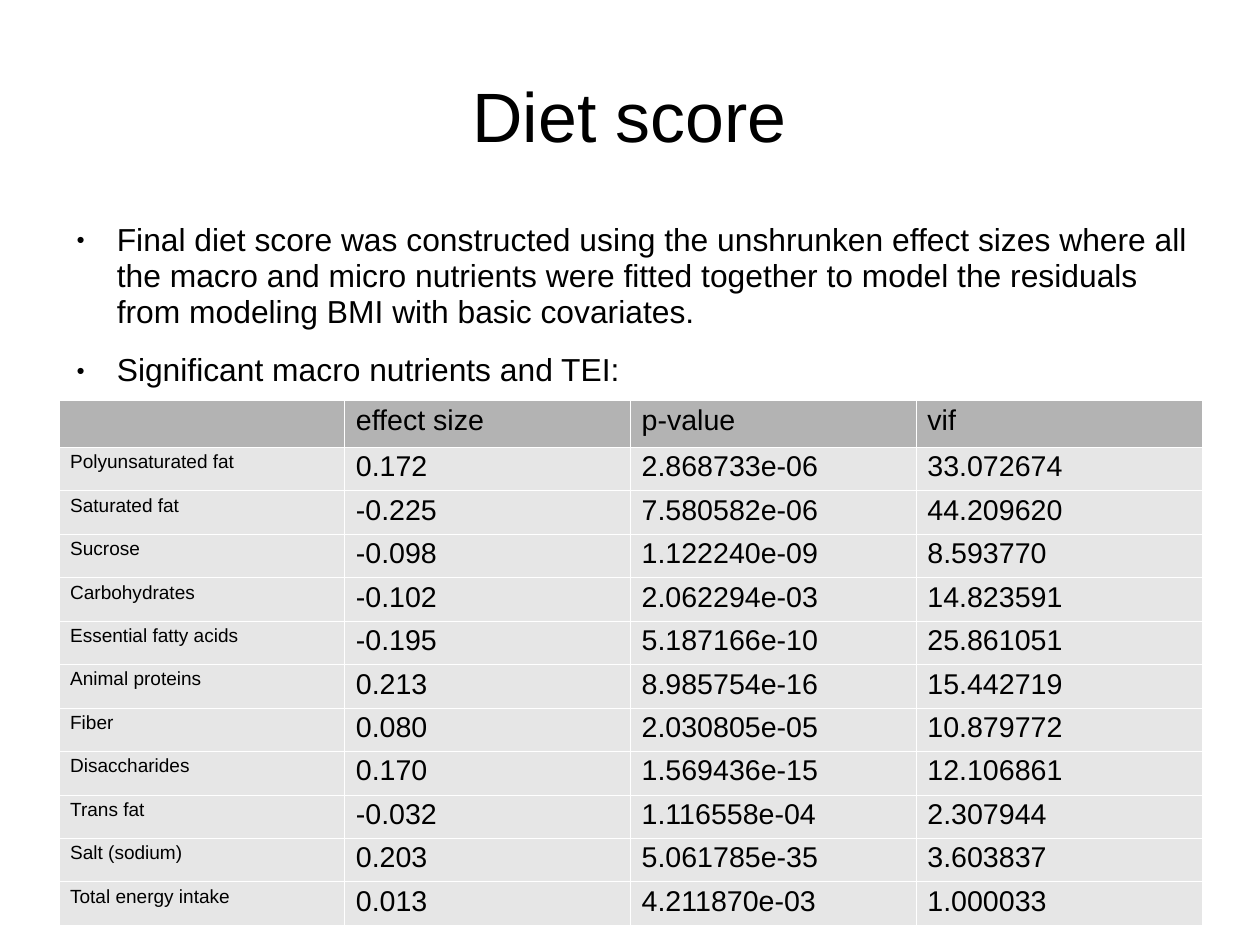
"""Build the diet score slide with its bullets and nutrient table."""
from dataclasses import dataclass

from lxml.etree import SubElement
from pptx import Presentation
from pptx.dml.color import RGBColor as Rgb
from pptx.enum.text import MSO_ANCHOR as Anchor, MSO_AUTO_SIZE as AutoSize, PP_ALIGN as Align
from pptx.oxml import parse_xml
from pptx.oxml.ns import nsdecls, qn
from pptx.util import Pt


@dataclass(frozen=True)
class Theme:
    font: str = "Arial"
    ink: str = "000000"
    header_fill: str = "B3B3B3"
    row_fill: str = "E6E6E6"
    border: str = "FFFFFF"
    border_width: float = 0.06
    title_size: int = 44
    body_size: int = 20
    table_size: int = 18
    label_size: int = 12
    line_spacing: float = 0.94


class SlideBuilder:
    def __init__(self, deck, theme):
        self.theme = theme
        self.slide = deck.slides.add_slide(deck.slide_layouts[1])

    def add_text(self, para, text, size):
        para.line_spacing = self.theme.line_spacing
        span = para.add_run()
        span.text = text
        span.font.name = self.theme.font
        span.font.size = Pt(size)
        span.font.bold = False
        span.font.color.rgb = Rgb.from_string(self.theme.ink)

    def place(self, box, left, top, width, height, inset_top, anchor):
        box.left, box.top, box.width, box.height = map(Pt, (left, top, width, height))
        frame = box.text_frame
        frame.auto_size = AutoSize.NONE
        frame.word_wrap = True
        frame.vertical_anchor = anchor
        frame.margin_left = frame.margin_right = frame.margin_bottom = 0
        frame.margin_top = Pt(inset_top)
        return frame

    def title(self, text, *area):
        frame = self.place(self.slide.shapes.title, *area, 2.9, Anchor.MIDDLE)
        para = frame.paragraphs[0]
        para.alignment = Align.CENTER
        self.add_text(para, text, self.theme.title_size)

    def bullets(self, items, *area):
        frame = self.place(self.slide.placeholders[1], *area, 1.4, Anchor.TOP)
        for index, item in enumerate(items):
            para = frame.add_paragraph() if index else frame.paragraphs[0]
            self.add_text(para, item, self.theme.body_size)
            para.space_before = Pt(0)
            para.space_after = Pt(14.3)
            self.bullet(para)

    def bullet(self, para):
        props = para._p.get_or_add_pPr()
        props.set("marL", str(Pt(34)))
        props.set("indent", str(-Pt(25.5)))
        color = SubElement(props, qn("a:buClr"))
        SubElement(color, qn("a:srgbClr"), val=self.theme.ink)
        SubElement(props, qn("a:buSzPct"), val="45000")
        SubElement(props, qn("a:buFont"), typeface=self.theme.font)
        SubElement(props, qn("a:buChar"), char="●")

    def table(self, rows, left, top, column_width, header_height, row_height):
        columns = len(rows[0])
        height = header_height + row_height * (len(rows) - 1)
        frame = self.slide.shapes.add_table(
            len(rows), columns, Pt(left), Pt(top), Pt(column_width * columns), Pt(height))
        grid = frame.table
        grid.horz_banding = False
        for column in grid.columns:
            column.width = Pt(column_width)
        for row_index, values in enumerate(rows):
            grid.rows[row_index].height = Pt(row_height if row_index else header_height)
            for column_index, text in enumerate(values):
                is_label = row_index and not column_index
                size = self.theme.label_size if is_label else self.theme.table_size
                fill = self.theme.row_fill if row_index else self.theme.header_fill
                self.cell(grid.cell(row_index, column_index), text, size, fill)

    def cell(self, cell, text, size, fill):
        cell.margin_left = cell.margin_right = Pt(7.2)
        cell.margin_top = cell.margin_bottom = Pt(3.6)
        cell.fill.solid()
        cell.fill.fore_color.rgb = Rgb.from_string(fill)
        if text:
            self.add_text(cell.text_frame.paragraphs[0], text, size)
        props = cell._tc.get_or_add_tcPr()
        for position, side in enumerate(("lnL", "lnR", "lnT", "lnB")):
            props.insert(position, parse_xml(
                f'<a:{side} {nsdecls("a")} w="{Pt(self.theme.border_width)}"><a:solidFill>'
                f'<a:srgbClr val="{self.theme.border}"/></a:solidFill></a:{side}>'))


BULLETS = (
    "Final diet score was constructed using the unshrunken effect sizes where all the macro "
    "and micro nutrients were fitted together to model the residuals from modeling BMI with "
    "basic covariates.",
    "Significant macro nutrients and TEI:",
)

NUTRIENTS = (
    ("", "effect size", "p-value", "vif"),
    ("Polyunsaturated fat", "0.172", "2.868733e-06", "33.072674"),
    ("Saturated fat", "-0.225", "7.580582e-06", "44.209620"),
    ("Sucrose", "-0.098", "1.122240e-09", "8.593770"),
    ("Carbohydrates", "-0.102", "2.062294e-03", "14.823591"),
    ("Essential fatty acids", "-0.195", "5.187166e-10", "25.861051"),
    ("Animal proteins", "0.213", "8.985754e-16", "15.442719"),
    ("Fiber", "0.080", "2.030805e-05", "10.879772"),
    ("Disaccharides", "0.170", "1.569436e-15", "12.106861"),
    ("Trans fat", "-0.032", "1.116558e-04", "2.307944"),
    ("Salt (sodium)", "0.203", "5.061785e-35", "3.603837"),
    ("Total energy intake", "0.013", "4.211870e-03", "1.000033"),
)


def main():
    deck = Presentation()
    deck.slide_width, deck.slide_height = Pt(793.7), Pt(595.3)
    page = SlideBuilder(deck, Theme())
    page.title("Diet score", 39.6, 23.8, 714.3, 99.4)
    page.bullets(BULLETS, 39.6, 139.2, 714.3, 345.6)
    page.table(NUTRIENTS, left=37, top=252.3, column_width=180, header_height=28.3, row_height=27.4)
    deck.save("out.pptx")


if __name__ == "__main__":
    main()
